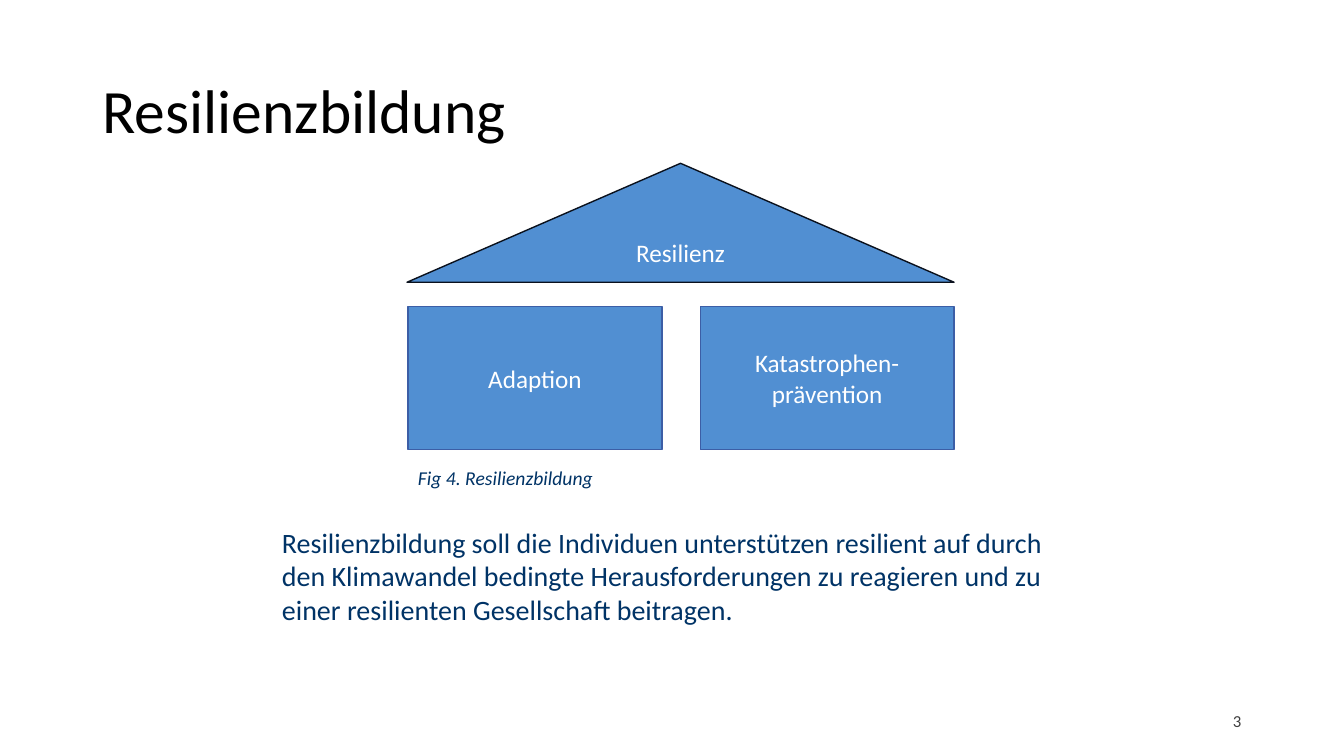
from pptx import Presentation
from pptx import util as u
from pptx.dml.color import RGBColor
from pptx.enum import shapes, text

PX = 9144
WHITE, NAVY, BLUE = "FFFFFF", "003366", "518FD2"


def colour(value):
    return RGBColor.from_string(value)


def write(frame, words, size=18, ink=WHITE, align="LEFT", anchor="TOP",
          italic=False, spacing=None, font="Calibri"):
    frame.word_wrap = True
    frame.vertical_anchor = getattr(text.MSO_ANCHOR, anchor)
    para = frame.paragraphs[0]
    para.alignment = getattr(text.PP_ALIGN, align)
    if spacing:
        para.line_spacing = spacing
    span = para.add_run()
    span.text = words
    span.font.name = font
    span.font.size = u.Pt(size)
    span.font.italic = italic
    span.font.color.rgb = colour(ink)


class Page:
    """Draws styled elements on one slide, with lengths in px."""

    def __init__(self, deck):
        self.page = deck.slides.add_slide(deck.slide_layouts[6])
        self.fill = BLUE

    def label(self, box, words, **style):
        area = self.page.shapes.add_textbox(*[n * PX for n in box])
        write(area.text_frame, words, **style)

    def block(self, kind, box, words, edge):
        block = self.page.shapes.add_shape(kind, *[n * PX for n in box])
        block.shadow.inherit = False
        block.fill.solid()
        block.fill.fore_color.rgb = colour(self.fill)
        block.line.color.rgb = colour(edge)
        block.line.width = u.Pt(1)
        write(block.text_frame, words, align="CENTER", anchor="MIDDLE")


def main():
    deck = Presentation()
    deck.slide_width, deck.slide_height = 1334 * PX, 750 * PX
    page = Page(deck)
    page.label((92, 40, 1150, 145), "Resilienzbildung", size=44,
               ink="000000", anchor="MIDDLE", spacing=0.9)
    for column, words in enumerate(("Adaption", "Katastrophen-prävention")):
        page.block(shapes.MSO_SHAPE.RECTANGLE,
                   (405 + 290 * column, 304, 252, 142), words, "3C5EA6")
    page.block(shapes.MSO_SHAPE.ISOSCELES_TRIANGLE, (404, 162, 543, 118),
               "Resilienz", "0A111D")
    page.label((405, 457, 409, 34), "Fig 4. Resilienzbildung", size=14,
               ink=NAVY, italic=True)
    page.label((270, 516, 811, 112),
               "Resilienzbildung soll die Individuen unterstützen resilient "
               "auf durch den Klimawandel bedingte Herausforderungen zu "
               "reagieren und zu einer resilienten Gesellschaft beitragen.",
               size=20, ink=NAVY)
    page.label((942, 695, 300, 40), "3", size=12, ink="3F3F3F",
               align="RIGHT", anchor="MIDDLE")
    deck.save("out.pptx")


if __name__ == "__main__":
    main()
